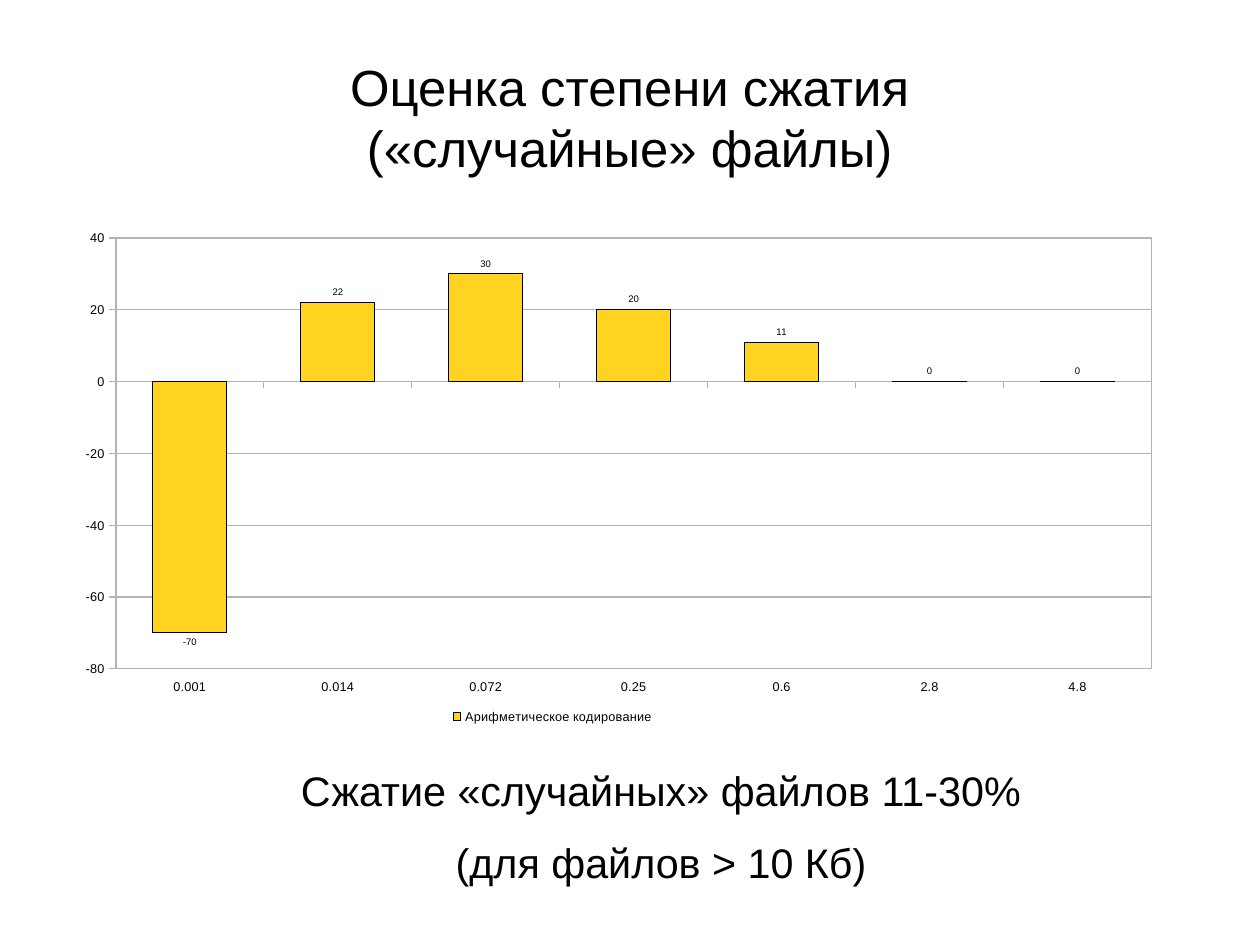
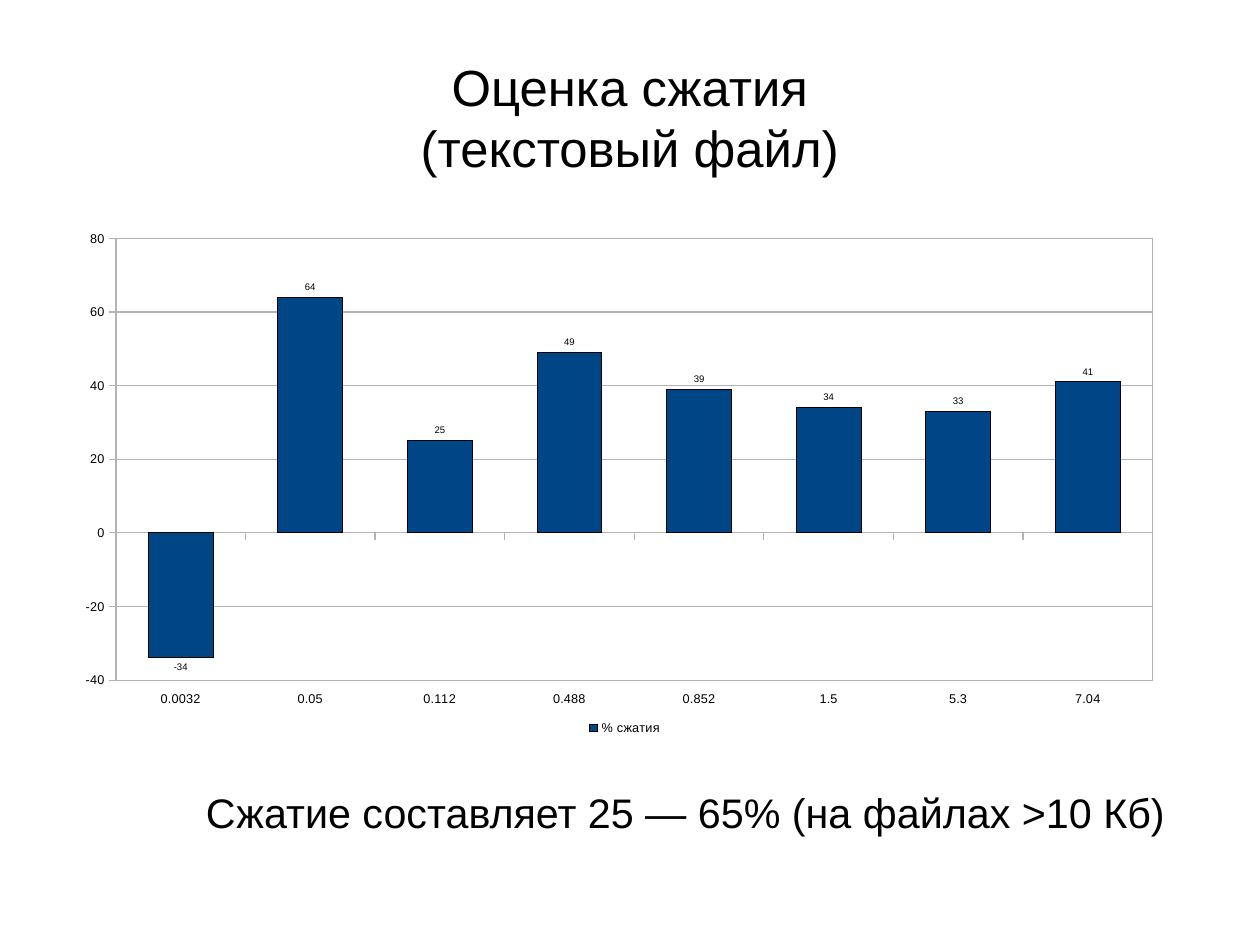
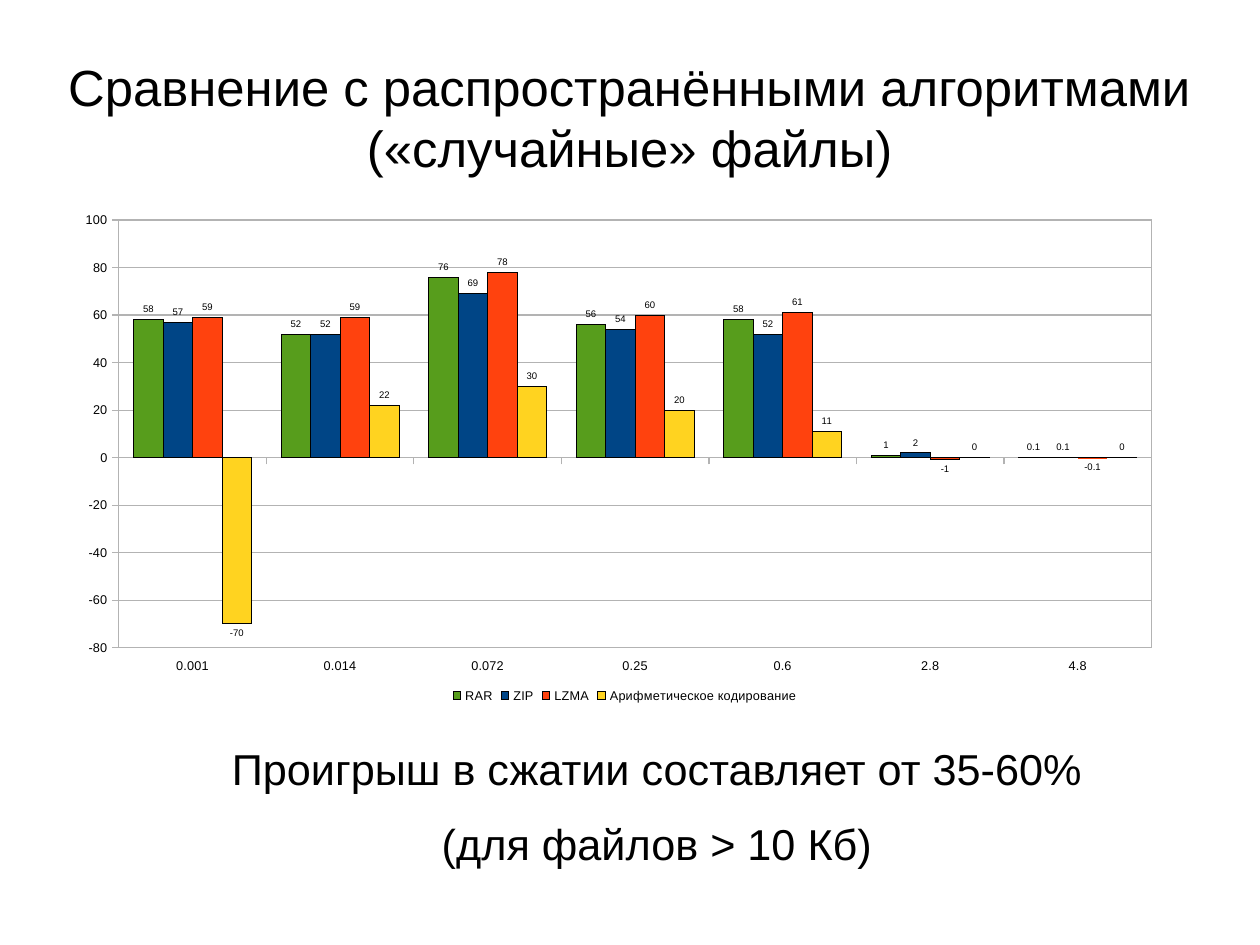
import pptx
import pptx.chart.data
import pptx.dml.color
import pptx.enum.chart
import pptx.enum.text
import pptx.oxml
import pptx.oxml.ns
import pptx.util

PX = 9000  # EMU: 4 px to the millimetre
FONT = "Arial"
BLACK = pptx.dml.color.RGBColor(0x00, 0x00, 0x00)
WHITE = pptx.dml.color.RGBColor(0xFF, 0xFF, 0xFF)
GREY = pptx.dml.color.RGBColor(0xB3, 0xB3, 0xB3)
YELLOW = pptx.dml.color.RGBColor(0xFF, 0xD3, 0x20)
BLUE = pptx.dml.color.RGBColor(0x00, 0x45, 0x86)
GREEN = pptx.dml.color.RGBColor(0x57, 0x9D, 0x1C)
RED = pptx.dml.color.RGBColor(0xFF, 0x42, 0x0E)

SLIDE_SIZE = (1120, 840)
TITLE_BOX = (56, 34, 1008, 140)
PARAGRAPH_INDENT = 48

RANDOM_FILE_SIZES = ["0.001", "0.014", "0.072", "0.25", "0.6", "2.8", "4.8"]
ARITHMETIC_CODING = ("Арифметическое кодирование", [-70, 22, 30, 20, 11, 0, 0], YELLOW)

SLIDES = [
    {
        "title": "Оценка степени сжатия\n(«случайные» файлы)",
        "chart_box": (56, 196, 1008, 463),
        "categories": RANDOM_FILE_SIZES,
        "series": [ARITHMETIC_CODING],
        "scale": (-80, 40),
        "legend_left": 0.34,
        "body_box": (60, 680, 1008, 120),
        "body": ["Сжатие «случайных» файлов 11-30%", "(для файлов > 10 Кб)"],
        "body_size": 26,
    },
    {
        "title": "Оценка сжатия\n(текстовый файл)",
        "chart_box": (56, 196, 1009, 474),
        "categories": ["0.0032", "0.05", "0.112", "0.488", "0.852", "1.5", "5.3", "7.04"],
        "series": [("% сжатия", [-34, 64, 25, 49, 39, 34, 33, 41], BLUE)],
        "scale": (-40, 80),
        "legend_left": 0.46,
        "body_box": (72, 700, 1028, 64),
        "body": ["Сжатие составляет 25 — 65% (на файлах >10 Кб)"],
        "body_size": 26,
    },
    {
        "title": "Сравнение с распространёнными алгоритмами\n(«случайные» файлы)",
        "chart_box": (56, 180, 1008, 460),
        "categories": RANDOM_FILE_SIZES,
        "series": [
            ("RAR", [58, 52, 76, 56, 58, 1, 0.1], GREEN),
            ("ZIP", [57, 52, 69, 54, 52, 2, 0.1], BLUE),
            ("LZMA", [59, 59, 78, 60, 61, -1, -0.1], RED),
            ARITHMETIC_CODING,
        ],
        "scale": (-80, 100),
        "legend_left": 0.34,
        "body_box": (56, 660, 1008, 90),
        "body": ["Проигрыш в сжатии составляет от 35-60%", "(для файлов > 10 Кб)"],
        "body_size": 27.2,
    },
]


def to_emu(box):
    return [pptx.util.Emu(length * PX) for length in box]


def set_font(font, size):
    font.name = FONT
    font.size = pptx.util.Pt(size)
    font.color.rgb = BLACK


def set_hairline(line, color):
    line.color.rgb = color
    line.width = 0


def prepare_placeholder(placeholder, box, anchor):
    """Move a placeholder into the box and return its text frame without insets."""
    placeholder.left, placeholder.top, placeholder.width, placeholder.height = to_emu(box)
    frame = placeholder.text_frame
    frame.margin_left = frame.margin_top = frame.margin_right = frame.margin_bottom = 0
    frame.word_wrap = True
    frame.auto_size = pptx.enum.text.MSO_AUTO_SIZE.NONE
    frame.vertical_anchor = anchor
    return frame


def fill_title(placeholder, text):
    frame = prepare_placeholder(placeholder, TITLE_BOX, pptx.enum.text.MSO_ANCHOR.MIDDLE)
    paragraph = frame.paragraphs[0]
    paragraph.text = text
    paragraph.alignment = pptx.enum.text.PP_ALIGN.CENTER
    set_font(paragraph.font, 32)


def fill_body(placeholder, box, lines, size):
    frame = prepare_placeholder(placeholder, box, pptx.enum.text.MSO_ANCHOR.TOP)
    frame.text = "\n".join(lines)
    for paragraph in frame.paragraphs:
        paragraph.alignment = pptx.enum.text.PP_ALIGN.CENTER
        paragraph.space_before = pptx.util.Pt(0)
        paragraph.space_after = pptx.util.Pt(14.2)
        set_font(paragraph.font, size)
        properties = paragraph._p.get_or_add_pPr()
        properties.set("marL", str(PARAGRAPH_INDENT * PX))
        properties.set("indent", "0")
        no_bullet = pptx.oxml.parse_xml(f'<a:buNone {pptx.oxml.ns.nsdecls("a")}/>')
        properties.find(pptx.oxml.ns.qn("a:defRPr")).addprevious(no_bullet)


def set_layout(parent, index, **fractions):
    """Give a chart part a manual layout in fractions of the chart."""
    for old_layout in parent.findall(pptx.oxml.ns.qn("c:layout")):
        parent.remove(old_layout)
    modes = '<c:xMode val="edge"/><c:yMode val="edge"/>'
    values = "".join(f'<c:{name} val="{value}"/>' for name, value in fractions.items())
    parent.insert(index, pptx.oxml.parse_xml(
        f'<c:layout {pptx.oxml.ns.nsdecls("c")}>'
        f"<c:manualLayout>{modes}{values}</c:manualLayout></c:layout>"))


def arrange_chart(chart, legend_left):
    """Place the plot and the legend, and frame the plot area."""
    plot_area = chart.element.find(".//" + pptx.oxml.ns.qn("c:plotArea"))
    set_layout(plot_area, 0, x=0.02, y=0.02, w=0.94, h=0.89)
    plot_area.append(pptx.oxml.parse_xml(
        f'<c:spPr {pptx.oxml.ns.nsdecls("c", "a")}><a:noFill/><a:ln w="0"><a:solidFill>'
        f'<a:srgbClr val="{GREY}"/></a:solidFill></a:ln></c:spPr>'))
    legend = chart.element.find(".//" + pptx.oxml.ns.qn("c:legend"))
    set_layout(legend, 1, x=legend_left, y=0.93)


def format_axes(chart, scale):
    for axis in (chart.category_axis, chart.value_axis):
        axis.major_tick_mark = pptx.enum.chart.XL_TICK_MARK.OUTSIDE
        axis.minor_tick_mark = pptx.enum.chart.XL_TICK_MARK.NONE
        set_font(axis.tick_labels.font, 8)
        set_hairline(axis.format.line, GREY)
    chart.category_axis.tick_label_position = pptx.enum.chart.XL_TICK_LABEL_POSITION.LOW
    value_axis = chart.value_axis
    value_axis.minimum_scale, value_axis.maximum_scale = scale
    value_axis.major_unit = 20
    value_axis.has_major_gridlines = True
    set_hairline(value_axis.major_gridlines.format.line, GREY)


def format_columns(plot, colors):
    plot.gap_width = 100
    plot.overlap = 0
    plot.vary_by_categories = False
    for series, color in zip(plot.series, colors):
        series.invert_if_negative = False
        series.format.fill.solid()
        series.format.fill.fore_color.rgb = color
        set_hairline(series.format.line, BLACK)
        labels = series.data_labels
        labels.show_value = True
        labels.position = pptx.enum.chart.XL_LABEL_POSITION.OUTSIDE_END
        set_font(labels.font, 6)


def add_column_chart(slide, box, categories, series, scale, legend_left):
    data = pptx.chart.data.CategoryChartData()
    data.categories = categories
    for name, values, _ in series:
        data.add_series(name, values)
    chart = slide.shapes.add_chart(
        pptx.enum.chart.XL_CHART_TYPE.COLUMN_CLUSTERED, *to_emu(box), data).chart
    chart.has_title = False
    set_font(chart.font, 10)
    format_axes(chart, scale)
    format_columns(chart.plots[0], [color for _, _, color in series])
    chart.has_legend = True
    chart.legend.position = pptx.enum.chart.XL_LEGEND_POSITION.BOTTOM
    chart.legend.include_in_layout = False
    set_font(chart.legend.font, 8)
    arrange_chart(chart, legend_left)


def add_chart_slide(presentation, content):
    slide = presentation.slides.add_slide(presentation.slide_layouts[1])
    fill_title(slide.shapes.title, content["title"])
    add_column_chart(slide, content["chart_box"], content["categories"],
                     content["series"], content["scale"], content["legend_left"])
    fill_body(slide.placeholders[1], content["body_box"], content["body"], content["body_size"])


def main():
    presentation = pptx.Presentation()
    presentation.slide_width, presentation.slide_height = to_emu(SLIDE_SIZE)
    background = presentation.slide_master.background.fill
    background.solid()
    background.fore_color.rgb = WHITE
    for content in SLIDES:
        add_chart_slide(presentation, content)
    presentation.save("out.pptx")


if __name__ == "__main__":
    main()
